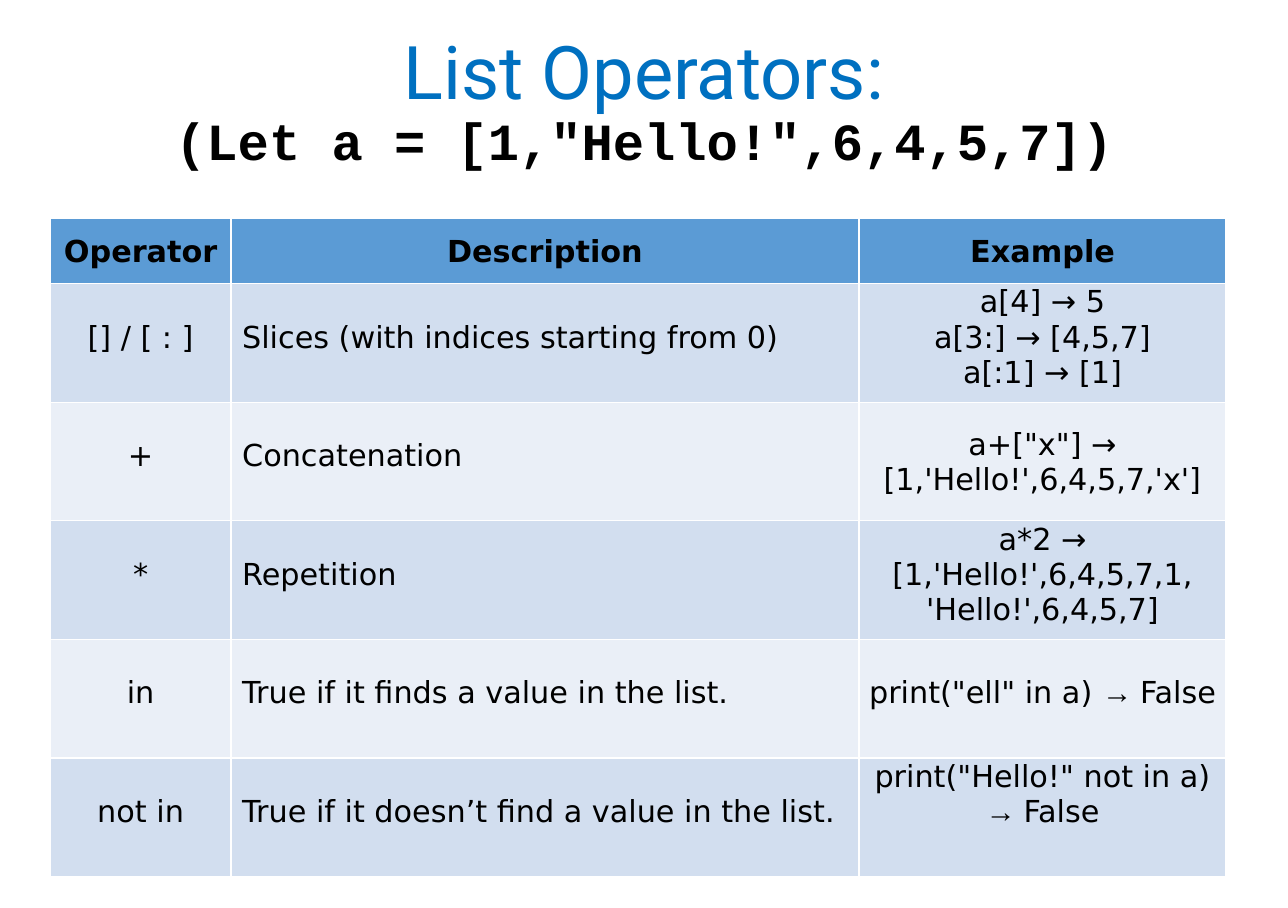
from dataclasses import dataclass

from lxml.etree import SubElement
from pptx import Presentation
from pptx.dml.color import RGBColor
from pptx.enum.text import MSO_ANCHOR as Anchor, MSO_AUTO_SIZE as AutoSize, PP_ALIGN as Align
from pptx.oxml.ns import qn
from pptx.util import Pt

PX = 9525  # EMU per pixel at 96 pixels to the inch


@dataclass(frozen=True)
class Theme:
    title_color: RGBColor = RGBColor(0x00, 0x70, 0xC0)
    text_color: RGBColor = RGBColor(0x00, 0x00, 0x00)
    header_fill: RGBColor = RGBColor(0x5B, 0x9B, 0xD5)
    odd_fill: RGBColor = RGBColor(0xD2, 0xDE, 0xEF)
    even_fill: RGBColor = RGBColor(0xEA, 0xEF, 0xF7)
    border: str = "FFFFFF"
    title_font: str = "Roboto"
    code_font: str = "Courier New"
    table_font: str = "DejaVu Sans"
    arrow_font: str = "Times New Roman"
    title_size: Pt = Pt(44)
    code_size: Pt = Pt(31)
    table_size: Pt = Pt(18)


theme = Theme()


def style_font(font, name, size, color, bold=False):
    font.name, font.size, font.bold = name, size, bold
    font.color.rgb = color


def draw_borders(cell):
    properties = cell._tc.get_or_add_tcPr()
    for side in ("lnL", "lnR", "lnT", "lnB"):
        line = SubElement(properties, qn(f"a:{side}"), w=str(Pt(1)))
        fill = SubElement(line, qn("a:solidFill"))
        SubElement(fill, qn("a:srgbClr"), val=theme.border)


deck = Presentation()
deck.slide_width, deck.slide_height = 1021 * PX, 720 * PX
page = deck.slides.add_slide(deck.slide_layouts[5])

# Title
title = page.shapes.title
title.left, title.top, title.width, title.height = 0, 16 * PX, 1021 * PX, 133 * PX
frame = title.text_frame
frame.word_wrap = True
frame.auto_size = AutoSize.NONE
frame.vertical_anchor = Anchor.MIDDLE
para = frame.paragraphs[0]
para.alignment = Align.CENTER
para.line_spacing = 0.9
heading = para.add_run()
heading.text = "List Operators:"
style_font(heading.font, theme.title_font, theme.title_size, theme.title_color)
para.add_line_break()
code = para.add_run()
code.text = '(Let a = [1,"Hello!",6,4,5,7])'
style_font(code.font, theme.code_font, theme.code_size, theme.text_color, bold=True)

# Table: each cell is a list of paragraphs, each paragraph a list of spans
ARROW = "→ "
rows = [
    ([["Operator"]], [["Description"]], [["Example"]]),
    ([["[] / [ : ]"]], [["Slices (with indices starting from 0)"]],
     [["a[4] → 5"], ["a[3:] → [4,5,7]"], ["a[:1] → [1]"]]),
    ([["+"]], [["Concatenation"]], [["a+[\"x\"] → [1,'Hello!',6,4,5,7,'x']"]]),
    ([["*"]], [["Repetition"]],
     [["a*2 → [1,'Hello!',6,4,5,7,1,"], ["'Hello!',6,4,5,7]"]]),
    ([["in"]], [["True if it finds a value in the list."]],
     [['print("ell" in a) ', ARROW, "False"]]),
    ([["not in"]], [["True if it doesn’t find a value in the list."]],
     [['print("Hello!" not in a) ', ARROW, "False"]]),
]
column_widths = [143, 498, 291]
row_heights = [52] + [94] * 5
ONE_LINE_DOWN = 29
MIDDLE_CELLS = {(0, 0), (0, 1), (0, 2), (2, 2)}
LOWERED_EXAMPLE = (4, 2)

table = page.shapes.add_table(
    len(rows), len(column_widths), 40 * PX, 173 * PX,
    sum(column_widths) * PX, sum(row_heights) * PX,
).table
table.first_row = table.horz_banding = False
for column, width in zip(table.columns, column_widths):
    column.width = width * PX
for row, height in zip(table.rows, row_heights):
    row.height = height * PX

for r, row in enumerate(rows):
    is_header = r == 0
    row_fill = theme.header_fill if is_header else theme.odd_fill if r % 2 else theme.even_fill
    for c, paragraphs in enumerate(row):
        cell = table.cell(r, c)
        is_description = c == 1 and not is_header
        is_lowered = not is_header and (c < 2 or (r, c) == LOWERED_EXAMPLE)
        draw_borders(cell)
        cell.fill.solid()
        cell.fill.fore_color.rgb = row_fill
        cell.vertical_anchor = Anchor.MIDDLE if (r, c) in MIDDLE_CELLS else Anchor.TOP
        cell.margin_left = (9 if is_description else 1) * PX
        cell.margin_top = (ONE_LINE_DOWN if is_lowered else 1) * PX
        cell.margin_right, cell.margin_bottom = PX, 0
        for i, spans in enumerate(paragraphs):
            para = cell.text_frame.add_paragraph() if i else cell.text_frame.paragraphs[0]
            para.alignment = Align.LEFT if is_description else Align.CENTER
            style_font(para.font, theme.table_font, theme.table_size, theme.text_color, is_header)
            for text in spans:
                span = para.add_run()
                span.text = text
                if text == ARROW:
                    span.font.name = theme.arrow_font

deck.save("out.pptx")
